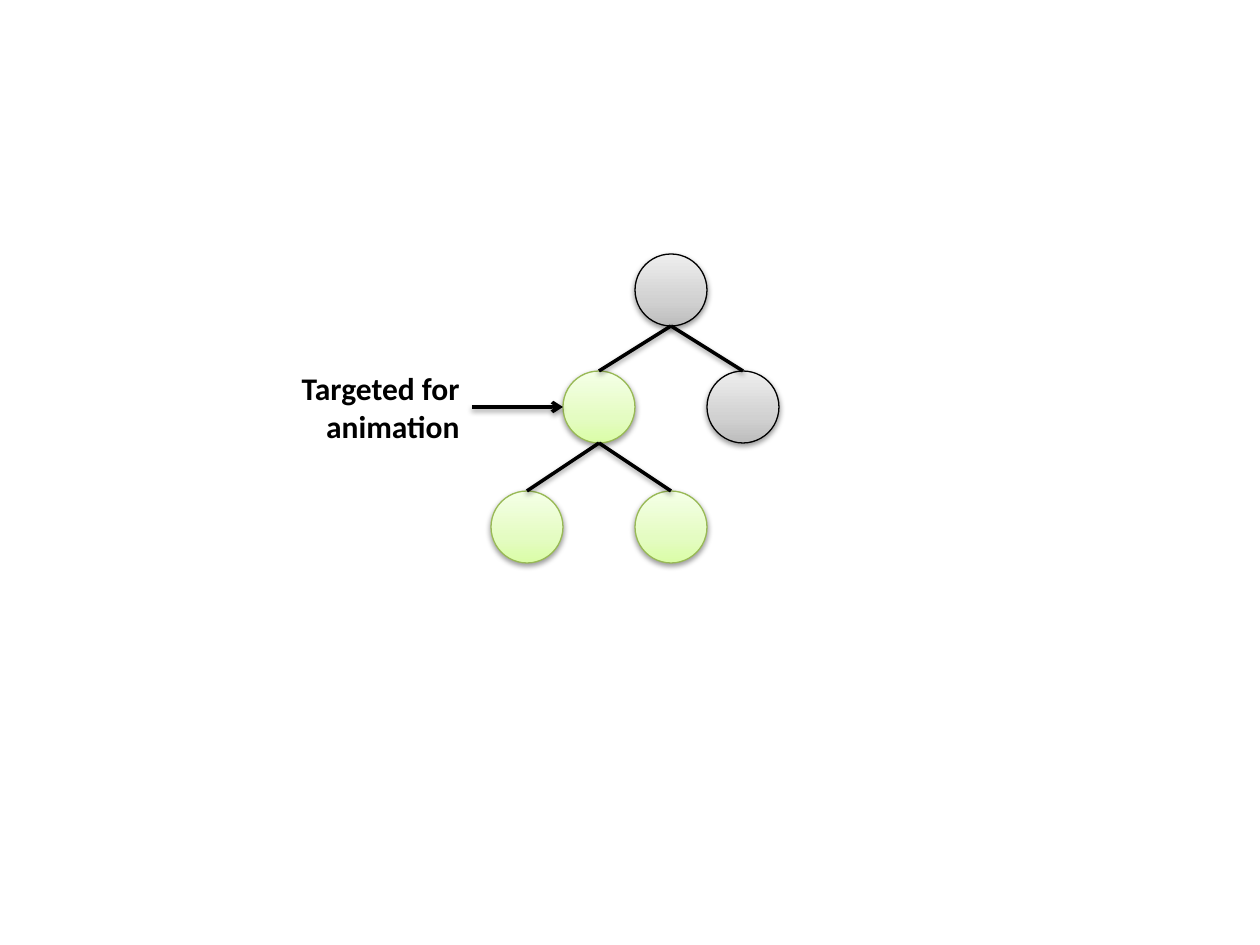
from copy import deepcopy
from dataclasses import dataclass

from lxml import etree
from pptx import Presentation
from pptx import util as u
from pptx.dml.color import RGBColor
from pptx.enum import shapes, text
from pptx.oxml.ns import qn

PX = 914400 / 126


def px(n: int) -> u.Emu:
    return u.Emu(round(n * PX))


@dataclass(frozen=True)
class NodeStyle:
    stops: tuple[str, str, str]
    outline: str


@dataclass(frozen=True)
class Theme:
    plain: NodeStyle = NodeStyle(("BDBDBD", "D1D1D1", "EEEEEE"), "000000")
    target: NodeStyle = NodeStyle(("DAFDA7", "E4FCC2", "F5FFE7"), "98B955")
    stop_positions: tuple[float, float, float] = (0, 0.35, 1)
    ink: str = "000000"
    font: str = "Calibri"
    label_size: int = 18
    outline_width: float = 0.75
    edge_width: float = 2
    shadow_blur: float = 3.1
    shadow_distance: float = 1.6
    shadow_opacity: int = 38


@dataclass(frozen=True)
class Node:
    name: str
    column: int
    level: int
    style: NodeStyle

    @property
    def cx(self) -> int:
        return CENTRE_X + self.column * DIAMETER

    @property
    def top(self) -> int:
        return LEVEL_TOPS[self.level]

    @property
    def bottom(self) -> int:
        return self.top + DIAMETER


THEME = Theme()
DIAMETER = 72
CENTRE_X = 599
LEVEL_TOPS = (254, 371, 491)
NODES = (
    Node("target", 0, 1, THEME.target),
    Node("left leaf", -1, 2, THEME.target),
    Node("right leaf", 1, 2, THEME.target),
    Node("root", 1, 0, THEME.plain),
    Node("sibling", 2, 1, THEME.plain),
)
EDGES = (
    ("root", "sibling"),
    ("root", "target"),
    ("target", "right leaf"),
    ("target", "left leaf"),
)


def add_shadow(sp) -> None:
    """Cast a soft downward shadow; call once fill and line are set."""
    effects = etree.SubElement(sp._element.spPr, qn("a:effectLst"))
    shadow = etree.SubElement(
        effects, qn("a:outerShdw"),
        blurRad=str(u.Pt(THEME.shadow_blur)), dist=str(u.Pt(THEME.shadow_distance)),
        dir="5400000", rotWithShape="0")
    color = etree.SubElement(shadow, qn("a:srgbClr"), val=THEME.ink)
    etree.SubElement(color, qn("a:alpha"), val=str(THEME.shadow_opacity * 1000))


def fill_gradient(sp, colors: tuple[str, str, str]) -> None:
    """Fill with three stops running from bottom to top."""
    sp.fill.gradient()
    sp.fill.gradient_angle = 90
    stops = sp._element.spPr.find(".//" + qn("a:gsLst"))
    stops.insert(1, deepcopy(stops[0]))
    for stop, color, position in zip(sp.fill.gradient_stops, colors, THEME.stop_positions):
        stop.color.rgb = RGBColor.from_string(color)
        stop.position = position


def add_node(s, node: Node):
    sp = s.shapes.add_shape(
        shapes.MSO_SHAPE.OVAL, px(node.cx - DIAMETER // 2), px(node.top),
        px(DIAMETER), px(DIAMETER))
    fill_gradient(sp, node.style.stops)
    sp.line.color.rgb = RGBColor.from_string(node.style.outline)
    sp.line.width = u.Pt(THEME.outline_width)
    add_shadow(sp)
    return sp


def add_line(s, start: tuple[int, int], end: tuple[int, int], arrow: bool = False):
    line = s.shapes.add_connector(
        shapes.MSO_CONNECTOR.STRAIGHT, px(start[0]), px(start[1]), px(end[0]), px(end[1]))
    line.line.color.rgb = RGBColor.from_string(THEME.ink)
    line.line.width = u.Pt(THEME.edge_width)
    if arrow:
        etree.SubElement(line.line._get_or_add_ln(), qn("a:tailEnd"), type="arrow")
    add_shadow(line)
    return line


def add_label(s, x: int, y: int, w: int, h: int, label: str):
    sp = s.shapes.add_textbox(px(x), px(y), px(w), px(h))
    tf = sp.text_frame
    tf.text = label
    tf.word_wrap = False
    tf.auto_size = text.MSO_AUTO_SIZE.SHAPE_TO_FIT_TEXT
    for p in tf.paragraphs:
        p.alignment = text.PP_ALIGN.RIGHT
        for r in p.runs:
            r.font.name = THEME.font
            r.font.size = u.Pt(THEME.label_size)
            r.font.bold = True
            r.font.color.rgb = RGBColor.from_string(THEME.ink)
    return sp


def main() -> None:
    prs = Presentation()
    prs.slide_width, prs.slide_height = u.Inches(10), u.Inches(7.5)
    s = prs.slides.add_slide(prs.slide_layouts[6])

    nodes = {node.name: node for node in NODES}
    circles = {node.name: add_node(s, node) for node in NODES}
    label = add_label(s, 283, 363, 189, 88, "Targeted for\nanimation")

    for parent, child in EDGES:
        a, b = nodes[parent], nodes[child]
        edge = add_line(s, (a.cx, a.bottom), (b.cx, b.top))
        edge.end_connect(circles[child], 0)

    target = nodes["target"]
    middle = target.top + DIAMETER // 2
    arrow = add_line(s, (472, middle), (target.cx - DIAMETER // 2, middle), arrow=True)
    arrow.begin_connect(label, 3)

    prs.save("out.pptx")


if __name__ == "__main__":
    main()
